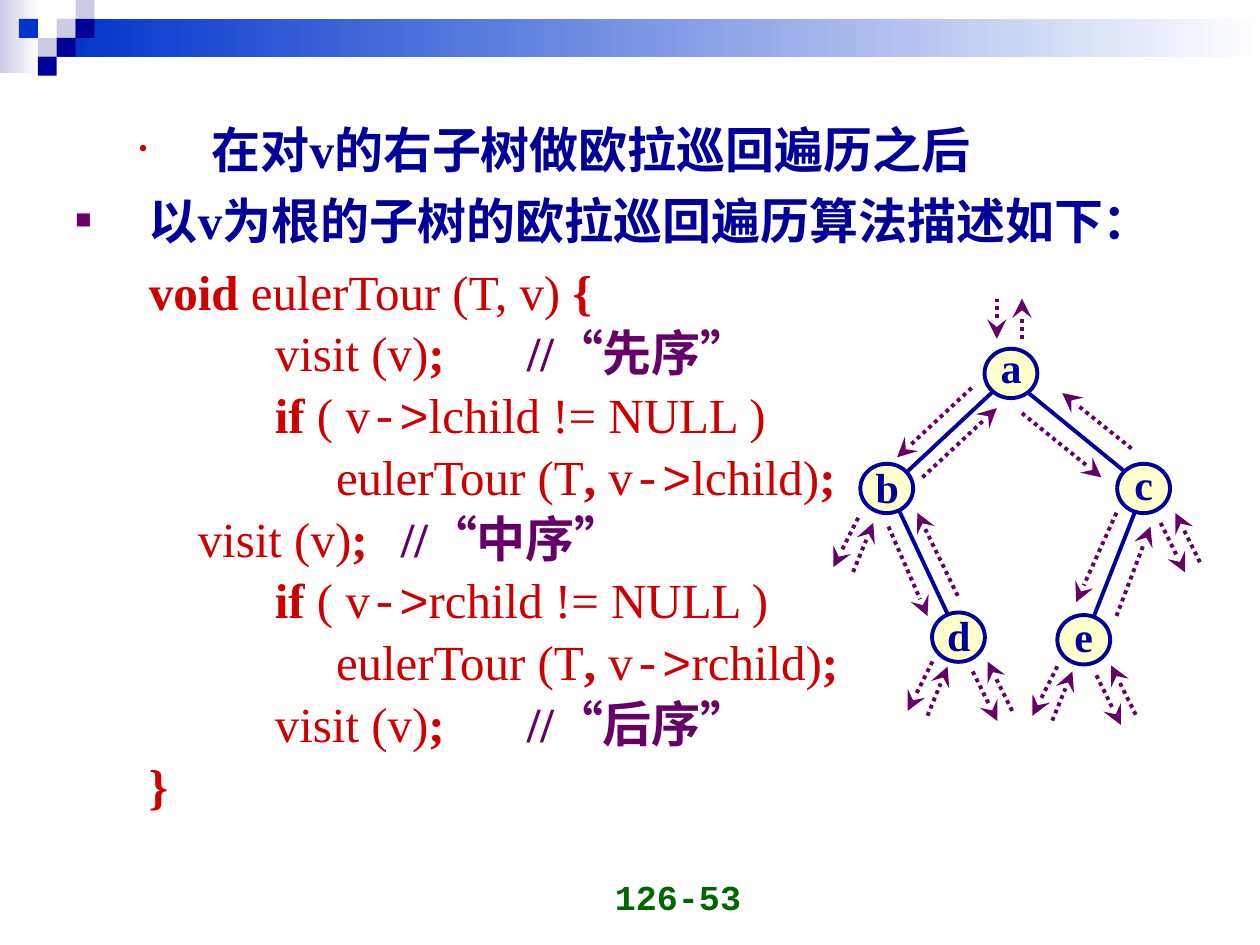
from lxml import etree
from pptx import Presentation
from pptx.dml.color import RGBColor
from pptx.enum.dml import MSO_LINE
from pptx.enum.shapes import MSO_CONNECTOR, MSO_SHAPE
from pptx.enum.text import MSO_ANCHOR, PP_ALIGN
from pptx.oxml.ns import qn
from pptx.util import Pt

RECTANGLE, OVAL = MSO_SHAPE.RECTANGLE, MSO_SHAPE.OVAL
STRAIGHT, DOTTED = MSO_CONNECTOR.STRAIGHT, MSO_LINE.ROUND_DOT
CENTER, RIGHT = PP_ALIGN.CENTER, PP_ALIGN.RIGHT
MIDDLE, BOTTOM = MSO_ANCHOR.MIDDLE, MSO_ANCHOR.BOTTOM

COLORS = {"navy": "000099", "blue": "0033CC", "lavender": "CCCCE6",
          "white": "FFFFFF", "red": "CC0000", "purple": "660066",
          "green": "006600", "cream": "FFFFCC"}
SERIF, MONO = "Times New Roman", "Courier New"
INCH = 72

# Header checker squares: column, row, colour
CHECKERS = [(3, 1, "lavender"), (4, 0, "lavender"), (4, 1, "navy"),
            (2, 2, "lavender"), (1, 1, "blue"), (3, 2, "navy"), (2, 3, "navy")]

# Code lines as runs of (text, style)
KEY, PLAIN, CODE_MONO, NOTE = "key", "plain", "mono", "note"
STYLES = {KEY: ("red", True, SERIF), PLAIN: ("red", False, SERIF),
          CODE_MONO: ("red", False, MONO), NOTE: ("purple", True, SERIF)}


def visit_line(indent, order):
    return [(indent, KEY), ("visit (v)", PLAIN), (";\t", KEY), (f"//“{order}”", NOTE)]


def child_lines(child):
    return [
        [("\t\tif ", KEY), ("( v", PLAIN), ("->", CODE_MONO),
         (f"{child} != NULL )", PLAIN)],
        [("\t\t     ", KEY), ("eulerTour (T", PLAIN), (", ", KEY), ("v", PLAIN),
         ("->", CODE_MONO), (f"{child})", PLAIN), (";", KEY)],
    ]


CODE = [
    [("\tvoid ", KEY), ("eulerTour (T, v)", PLAIN), (" {", KEY)],
    visit_line("\t\t", "先序"),
    *child_lines("lchild"),
    visit_line("\t    ", "中序"),
    *child_lines("rchild"),
    visit_line("\t\t", "后序"),
    [("\t}", KEY)],
]

# Tree nodes: centre x, centre y, how far the letter sits above the centre
NODES = {"a": (101.7, 42.8, 3.9), "b": (30.7, 108.5, 1.1), "c": (177.5, 108.5, 2.4),
         "d": (71.7, 193.5, 1.3), "e": (143.3, 195, 2.6)}
EDGES = [(173.5, 119.5, 141.8, 200.2), (36.7, 118.8, 67.7, 185),
         (110.9, 53.3, 173.5, 104.4), (93.6, 51.1, 38.9, 102.2)]
TOUR = [
    (93.6, 0, 93.6, 23), (108, 23, 108, 0),                  # into and out of a
    (79.2, 51.1, 36.7, 90.7), (51.1, 102.2, 93.6, 62.6),     # a - b
    (31.7, 130.3, 54, 181.4), (71.3, 169.9, 48.2, 122.4),    # b - d
    (108, 65.5, 153.4, 102.2), (170.6, 85.7, 131, 54),       # a - c
    (162, 122.4, 139, 173.5), (162, 181.4, 181.4, 130.3),    # c - e
]
# Visits to empty subtrees: a pair of arrows, repeated at each anchor
LEFT_PAIR = [(0, 0, -14.2, 28.2), (-2.9, 31, 8.6, 2.9)]
RIGHT_PAIR = [(0, 0, 14, 28.3), (22.5, 22.5, 8.5, -5.6)]
LEFT_ANCHORS = [(14.4, 125.3), (56.9, 207.4), (128.2, 210.2)]
RIGHT_ANCHORS = [(79.9, 213.1), (150.5, 215.3), (187.2, 128.2)]


def color(name):
    return RGBColor.from_string(COLORS[name])


def add_shape(slide, kind, left, top, width, height, fill, end_fill=None):
    shape = slide.shapes.add_shape(kind, Pt(left), Pt(top), Pt(width), Pt(height))
    shape.shadow.inherit = False
    shape.line.fill.background()
    if end_fill:
        shape.fill.gradient()
        shape.fill.gradient_angle = 0
        for stop, name, position in zip(shape.fill.gradient_stops,
                                        (fill, end_fill), (0, 1)):
            stop.color.rgb = color(name)
            stop.position = position
    else:
        shape.fill.solid()
        shape.fill.fore_color.rgb = color(fill)
    return shape


def add_line(slide, x1, y1, x2, y2, name, arrow=False):
    connector = slide.shapes.add_connector(STRAIGHT, Pt(x1), Pt(y1), Pt(x2), Pt(y2))
    connector.line.color.rgb = color(name)
    connector.line.width = Pt(2.25)
    if arrow:
        connector.line.dash_style = DOTTED
        tail = etree.SubElement(connector.line._get_or_add_ln(), qn("a:tailEnd"))
        for key, value in (("type", "stealth"), ("w", "lg"), ("len", "lg")):
            tail.set(key, value)
    etree.SubElement(connector._element.spPr, qn("a:effectLst"))


def add_text_box(slide, left, top, width, height, wrap=True):
    box = slide.shapes.add_textbox(Pt(left), Pt(top), Pt(width), Pt(height))
    box.text_frame.word_wrap = wrap
    return box.text_frame


def add_run(paragraph, text, size, name, bold=True, font=SERIF):
    run = paragraph.add_run()
    run.text = text
    run.font.size, run.font.bold, run.font.name = Pt(size), bold, font
    run.font.color.rgb = color(name)


def format_paragraph(paragraph, margin, hanging, first_tab, bullet=None):
    """Set indents, tab stops one inch apart and an optional (character, colour) bullet."""
    properties = paragraph._p.get_or_add_pPr()
    properties.set("marL", str(Pt(margin)))
    properties.set("indent", str(-Pt(hanging)))
    properties.set("defTabSz", str(Pt(INCH)))
    if bullet:
        character, name = bullet
        bullet_color = etree.SubElement(properties, qn("a:buClr"))
        etree.SubElement(bullet_color, qn("a:srgbClr")).set("val", COLORS[name])
        etree.SubElement(properties, qn("a:buSzPct")).set("val", "55000")
        etree.SubElement(properties, qn("a:buFont")).set("typeface", SERIF)
        etree.SubElement(properties, qn("a:buChar")).set("char", character)
    tabs = etree.SubElement(properties, qn("a:tabLst"))
    for inch in range(first_tab, first_tab + 8):
        tab = etree.SubElement(tabs, qn("a:tab"))
        tab.set("pos", str(Pt(inch * INCH)))
        tab.set("algn", "l")
    paragraph.line_spacing = 1.05


def draw_header(slide, left, top, width):
    unit = 10.8
    add_shape(slide, RECTANGLE, left, top, 22.3, 41.8, "lavender", "white")
    add_shape(slide, RECTANGLE, left + 3 * unit, top + unit,
              width - 3 * unit, 2 * unit, "blue", "white")
    for column, row, name in CHECKERS:
        add_shape(slide, RECTANGLE, left + column * unit, top + row * unit,
                  unit, unit, name)


def draw_body(slide, left, top, width, height):
    frame = add_text_box(slide, left, top, width, height)
    # Bulleted statements
    first = frame.paragraphs[0]
    format_paragraph(first, 78, 42, 2, ("•", "red"))
    add_run(first, "在对v的右子树做欧拉巡回遍历之后", 28, "navy")
    second = frame.add_paragraph()
    format_paragraph(second, 42, 42, 1, ("■", "purple"))
    second.space_before = Pt(5.2)
    add_run(second, "以v为根的子树的欧拉巡回遍历算法描述如下：", 28, "navy")
    # Algorithm
    for index, line in enumerate(CODE):
        paragraph = frame.add_paragraph()
        format_paragraph(paragraph, 42, 42, 0)
        if index == 0:
            paragraph.space_before = Pt(5.2)
        for text, style in line:
            add_run(paragraph, text, 28, *STYLES[style])


def draw_tree(slide, left, top):
    def place(x1, y1, x2, y2, dx=0, dy=0):
        return left + x1 + dx, top + y1 + dy, left + x2 + dx, top + y2 + dy

    for edge in EDGES:
        add_line(slide, *place(*edge), "navy")
    # Nodes, then their letters
    for x, y, _ in NODES.values():
        node = add_shape(slide, OVAL, left + x - 15.1, top + y - 14.1, 30.2, 28.2, "cream")
        node.line.color.rgb = color("navy")
        node.line.width = Pt(2.25)
    for letter, (x, y, lift) in NODES.items():
        frame = add_text_box(slide, left + x - 13.5, top + y - lift - 18, 27, 36, wrap=False)
        frame.vertical_anchor = MIDDLE
        frame.paragraphs[0].alignment = CENTER
        add_run(frame.paragraphs[0], letter, 24, "navy")
    # Tour arrows
    for arrow in TOUR:
        add_line(slide, *place(*arrow), "purple", arrow=True)
    for pair, anchors in ((LEFT_PAIR, LEFT_ANCHORS), (RIGHT_PAIR, RIGHT_ANCHORS)):
        for anchor in anchors:
            for arrow in pair:
                add_line(slide, *place(*arrow, *anchor), "purple", arrow=True)


def draw_page_number(slide, left, top, width, height):
    frame = add_text_box(slide, left, top, width, height)
    frame.vertical_anchor = BOTTOM
    frame.paragraphs[0].alignment = RIGHT
    add_run(frame.paragraphs[0], "126-53", 20, "green", font=MONO)


def main():
    presentation = Presentation()
    presentation.slide_width, presentation.slide_height = Pt(720), Pt(540)
    slide = presentation.slides.add_slide(presentation.slide_layouts[6])
    draw_header(slide, 0, 0, 720)
    draw_page_number(slide, 262.8, 491.8, 167.8, 36)
    draw_body(slide, 36, 63, 648, 436)
    draw_tree(slide, 476, 170.6)
    presentation.save("out.pptx")


if __name__ == "__main__":
    main()
